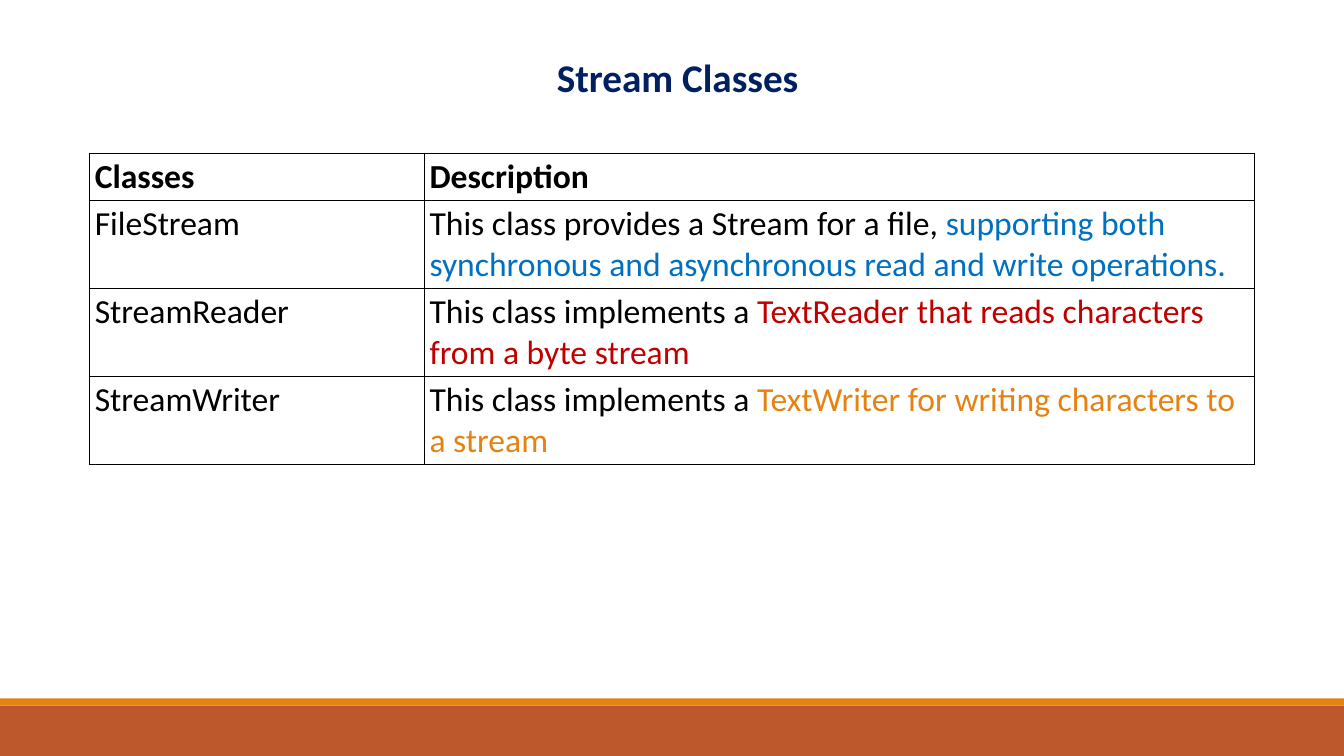
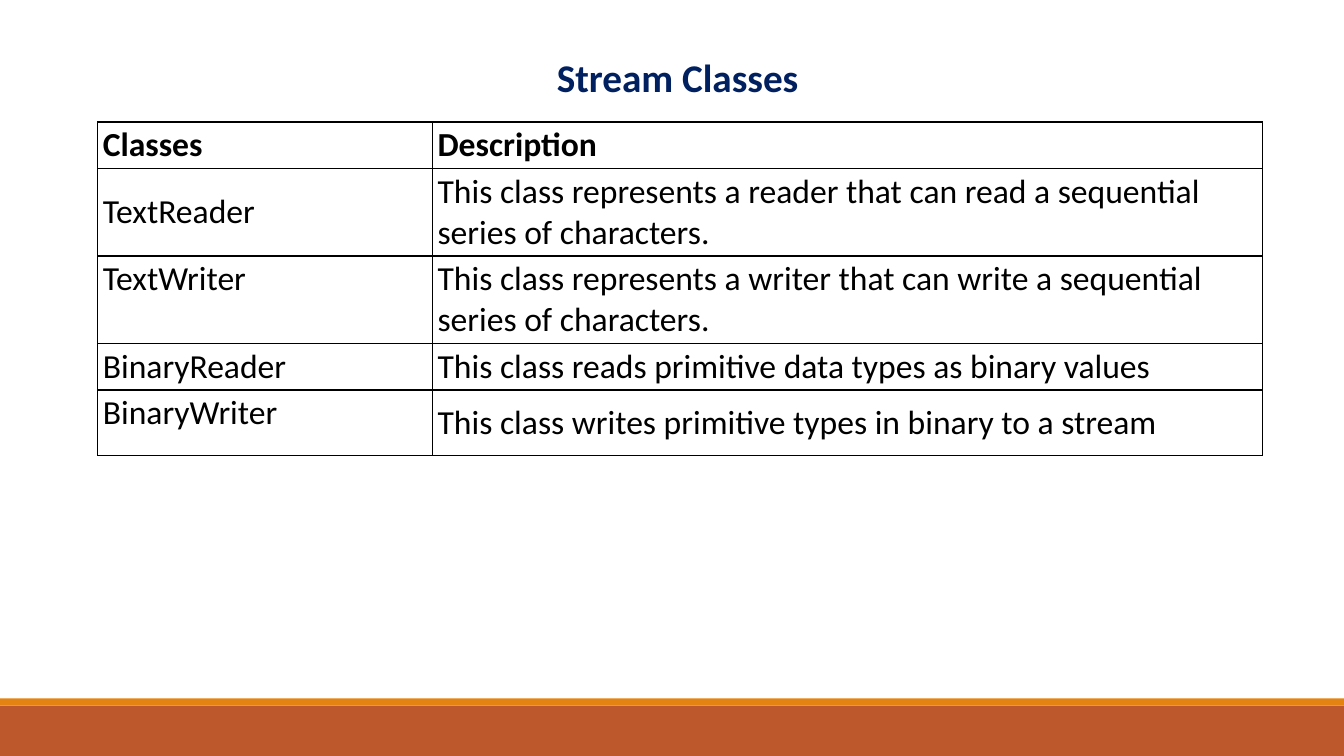
"""Build two slides that list the stream classes in tables."""
from dataclasses import dataclass

from lxml import etree
from pptx import Presentation
from pptx import util as u
from pptx.dml import color
from pptx.enum import shapes, text
from pptx.oxml import ns

HUES = {
    "black": "000000",
    "navy": "002060",
    "blue": "0070C0",
    "red": "C00000",
    "amber": "E48312",
    "rust": "BD582C",
}
FONT = "Calibri"
WIDE, HIGH = 13.33, 7.5
COLS = (3.32, 8.23)
ONE, TALL, TWO = 0.46, 0.65, 0.87
TOP, MID = text.MSO_ANCHOR.TOP, text.MSO_ANCHOR.MIDDLE


@dataclass(frozen=True)
class Run:
    words: str
    hue: str = "black"
    bold: bool = False
    size: int = 24


@dataclass(frozen=True)
class Row:
    name: Run
    note: tuple[Run, ...]
    high: float
    side: text.MSO_ANCHOR = TOP


@dataclass(frozen=True)
class Band:
    top: float
    high: float
    hue: str


@dataclass(frozen=True)
class Page:
    left: float
    top: float
    rows: tuple[Row, ...]


TITLE = Run("Stream Classes", "navy", True, 28)
BANDS = (Band(7, 0.5, "rust"), Band(6.93, 0.07, "amber"))
HEAD = Row(Run("Classes", bold=True), (Run("Description", bold=True),), ONE, MID)
PAGES = (
    Page(0.89, 1.52, (
        HEAD,
        Row(Run("FileStream"), (
            Run("This class provides a Stream for a file, "),
            Run("supporting both synchronous and asynchronous read and write operations.", "blue"),
        ), TWO),
        Row(Run("StreamReader"), (
            Run("This class implements a "),
            Run("TextReader that reads characters from a byte stream", "red"),
        ), TWO),
        Row(Run("StreamWriter"), (
            Run("This class implements a "),
            Run("TextWriter for writing characters to a stream", "amber"),
        ), TWO),
    )),
    Page(0.97, 1.21, (
        HEAD,
        Row(Run("TextReader"), (
            Run("This class represents a reader that can read a sequential series of characters."),
        ), TWO, MID),
        Row(Run("TextWriter"), (
            Run("This class represents a writer that can write a sequential series of characters."),
        ), TWO),
        Row(Run("BinaryReader"), (
            Run("This class reads primitive data types as binary values"),
        ), ONE, MID),
        Row(Run("BinaryWriter"), (
            Run("This class writes primitive types in binary to a stream"),
        ), TALL),
    )),
)


def tint(hue: str) -> color.RGBColor:
    return color.RGBColor.from_string(HUES[hue])


def add_run(para, run: Run) -> None:
    part = para.add_run()
    part.text = run.words
    font = part.font
    font.name, font.size, font.bold = FONT, u.Pt(run.size), run.bold
    font.color.rgb = tint(run.hue)


def add_band(slide, band: Band) -> None:
    bar = slide.shapes.add_shape(
        shapes.MSO_SHAPE.RECTANGLE, 0, u.Inches(band.top), u.Inches(WIDE), u.Inches(band.high))
    bar.shadow.inherit = False
    bar.fill.solid()
    bar.fill.fore_color.rgb = tint(band.hue)
    bar.line.fill.background()


def add_title(slide) -> None:
    box = slide.shapes.add_textbox(
        u.Inches(1.86), u.Inches(0.24), u.Inches(9.62), u.Inches(0.86))
    frame = box.text_frame
    frame.word_wrap = True
    frame.vertical_anchor = text.MSO_ANCHOR.BOTTOM
    frame.margin_left = u.Inches(0.2)
    frame.margin_right = frame.margin_top = frame.margin_bottom = u.Inches(0.1)
    para = frame.paragraphs[0]
    para.alignment = text.PP_ALIGN.CENTER
    para.line_spacing = 0.9
    para.space_before, para.space_after = u.Pt(12), u.Pt(2)
    add_run(para, TITLE)


def add_edges(cell) -> None:
    props = cell._tc.get_or_add_tcPr()
    for side in "LRTB":
        line = etree.SubElement(props, ns.qn(f"a:ln{side}"), w=str(u.Pt(1)))
        fill = etree.SubElement(line, ns.qn("a:solidFill"))
        etree.SubElement(fill, ns.qn("a:srgbClr"), val=HUES["black"])


def fill_cell(cell, runs: tuple[Run, ...], side: text.MSO_ANCHOR) -> None:
    add_edges(cell)
    cell.fill.background()
    cell.vertical_anchor = side
    cell.margin_left = cell.margin_right = u.Inches(0.05)
    cell.margin_top = cell.margin_bottom = u.Inches(0.03)
    for run in runs:
        add_run(cell.text_frame.paragraphs[0], run)


def add_grid(slide, page: Page) -> None:
    high = sum(row.high for row in page.rows)
    grid = slide.shapes.add_table(
        len(page.rows), len(COLS), u.Inches(page.left), u.Inches(page.top),
        u.Inches(sum(COLS)), u.Inches(high)).table
    grid.first_row = grid.horz_banding = False
    for col, wide in zip(grid.columns, COLS):
        col.width = u.Inches(wide)
    for line, row in zip(grid.rows, page.rows):
        line.height = u.Inches(row.high)
        name, note = line.cells
        fill_cell(name, (row.name,), row.side)
        fill_cell(note, row.note, MID)


def main() -> None:
    deck = Presentation()
    deck.slide_width, deck.slide_height = u.Inches(WIDE), u.Inches(HIGH)
    for page in PAGES:
        slide = deck.slides.add_slide(deck.slide_layouts[6])
        for band in BANDS:
            add_band(slide, band)
        add_grid(slide, page)
        add_title(slide)
    deck.save("out.pptx")


if __name__ == "__main__":
    main()
